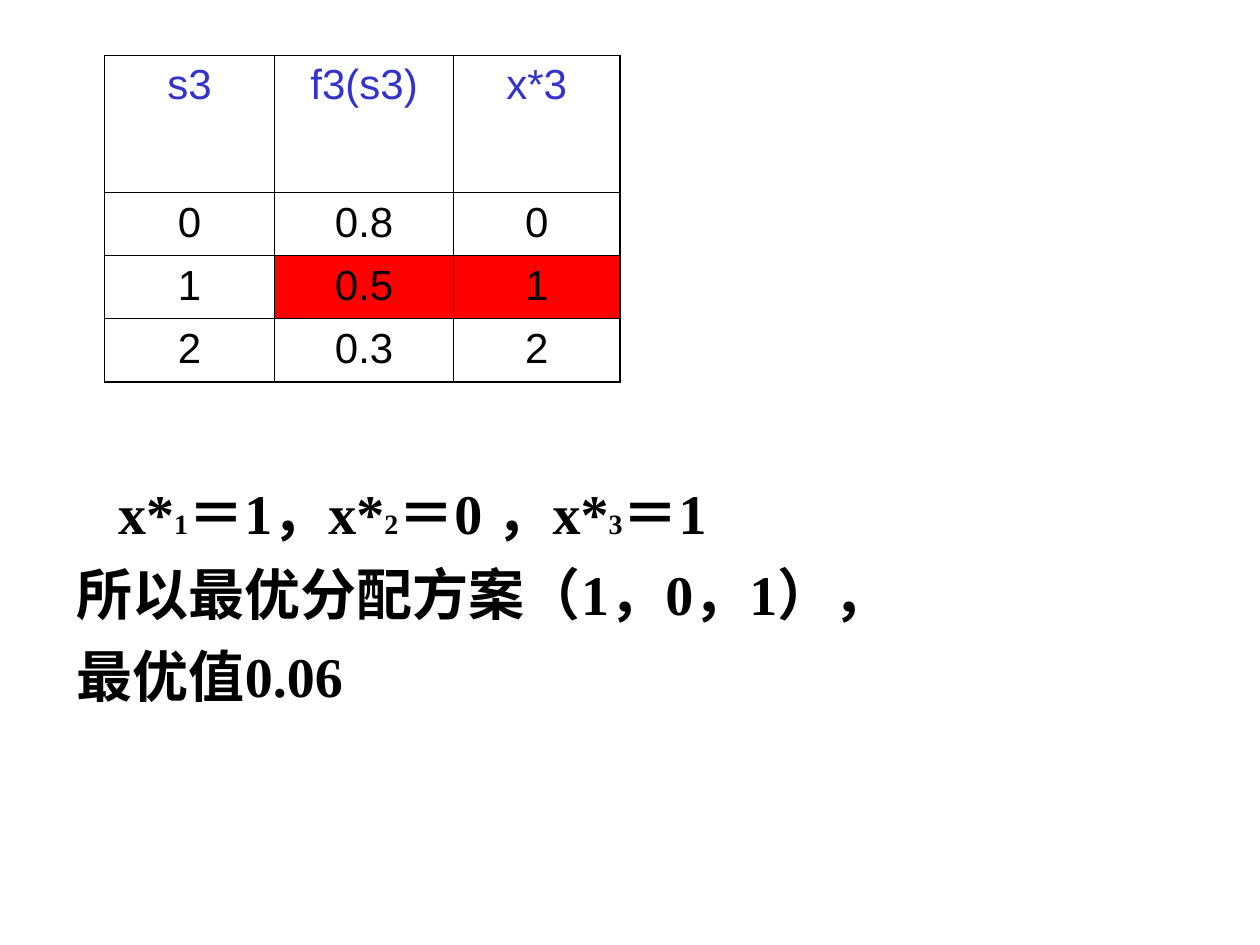
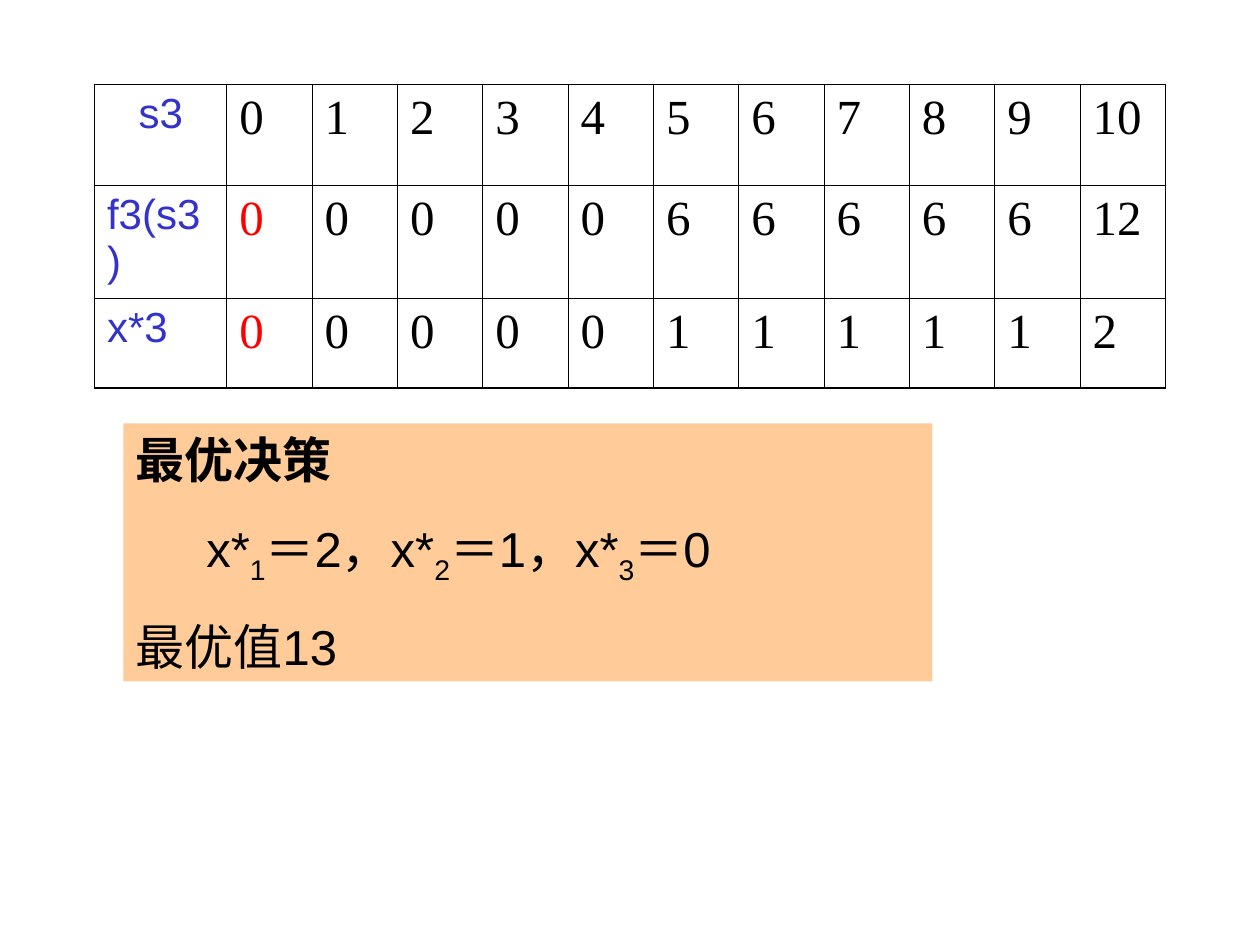
from dataclasses import dataclass, replace
from typing import Callable, NamedTuple, Optional

from lxml.etree import SubElement
from pptx import Presentation
from pptx.dml.color import RGBColor
from pptx.enum.lang import MSO_LANGUAGE_ID
from pptx.enum.shapes import MSO_SHAPE
from pptx.enum.text import MSO_ANCHOR, PP_ALIGN
from pptx.oxml.ns import qn
from pptx.util import Emu, Inches, Pt

BLACK = RGBColor(0x00, 0x00, 0x00)
BLUE = RGBColor(0x33, 0x33, 0xCC)
RED = RGBColor(0xFF, 0x00, 0x00)
PEACH = RGBColor(0xFF, 0xCC, 0x99)

SANS, SERIF = "Arial", "Times New Roman"
SLIDE_W, SLIDE_H = Inches(10), Inches(7.5)
OUTER_LINE, INNER_LINE = Pt(1.08), Pt(0.45)


class Area(NamedTuple):
    """A rectangle in percent of the slide's width and height."""
    x: float
    y: float
    w: float
    h: float

    def emu(self) -> tuple:
        return across(self.x), down(self.y), across(self.w), down(self.h)


@dataclass(frozen=True)
class TextStyle:
    font: str
    size: float
    color: RGBColor = BLACK
    bold: bool = False
    baseline: int = 0


@dataclass(frozen=True)
class CellStyle:
    text: TextStyle
    align: PP_ALIGN = PP_ALIGN.LEFT
    fill: Optional[RGBColor] = None


class Line(NamedTuple):
    """A paragraph: its (text, style) runs and its left indent in percent."""
    runs: list
    indent: float = 0


@dataclass(frozen=True)
class Grid:
    """A table: its corner, column widths and row heights in percent."""
    x: float
    y: float
    cols: list
    rows: list
    values: list
    style: Callable[[int, int], CellStyle]


LABEL = TextStyle(SANS, 24, BLUE)
NUMBER = TextStyle(SERIF, 28)
SOLUTION = TextStyle(SERIF, 32, bold=True)
SOLUTION_SUB = replace(SOLUTION, size=16)
DECISION = TextStyle(SANS, 28)
DECISION_SUB = replace(DECISION, baseline=-25000)
DECISION_HEAD = replace(NUMBER, bold=True)


def across(percent: float) -> Emu:
    return Emu(round(SLIDE_W * percent / 100))


def down(percent: float) -> Emu:
    return Emu(round(SLIDE_H * percent / 100))


def add_run(p, text: str, style: TextStyle) -> None:
    r = p.add_run()
    r.text = text
    font = r.font
    font.name, font.size, font.bold = style.font, Pt(style.size), style.bold
    font.color.rgb = style.color
    font.language_id = MSO_LANGUAGE_ID.SIMPLIFIED_CHINESE
    if style.baseline:
        r._r.get_or_add_rPr().set("baseline", str(style.baseline))


def fill_text(tf, lines: list, space_before: float) -> None:
    tf.word_wrap = True
    tf.vertical_anchor = MSO_ANCHOR.TOP
    for i, line in enumerate(lines):
        p = tf.add_paragraph() if i else tf.paragraphs[0]
        p.alignment = PP_ALIGN.LEFT
        p.space_before = Pt(space_before if i else 0)
        if line.indent:
            p._p.get_or_add_pPr().set("marL", str(across(line.indent)))
        for text, style in line.runs:
            add_run(p, text, style)


def formula(parts: list, base: TextStyle, sub: TextStyle) -> list:
    """Runs that alternate between the base line and subscripts."""
    return [(text, sub if i % 2 else base) for i, text in enumerate(parts)]


def set_borders(cell, widths: dict) -> None:
    tcPr = cell._tc.get_or_add_tcPr()
    for i, (side, width) in enumerate(widths.items()):
        ln = SubElement(tcPr, qn(f"a:ln{side}"), w=str(width))
        fill = SubElement(ln, qn("a:solidFill"))
        SubElement(fill, qn("a:srgbClr"), val=str(BLACK))
        tcPr.insert(i, ln)


def add_grid(s, grid: Grid) -> None:
    n_rows, n_cols = len(grid.rows), len(grid.cols)
    area = Area(grid.x, grid.y, sum(grid.cols), sum(grid.rows))
    table = s.shapes.add_table(n_rows, n_cols, *area.emu()).table
    table.first_row = table.horz_banding = False
    for column, width in zip(table.columns, grid.cols):
        column.width = across(width)
    for row, height in zip(table.rows, grid.rows):
        row.height = down(height)

    for i, values in enumerate(grid.values):
        for j, value in enumerate(values):
            cell, style = table.cell(i, j), grid.style(i, j)
            if style.fill is None:
                cell.fill.background()
            else:
                cell.fill.solid()
                cell.fill.fore_color.rgb = style.fill
            p = cell.text_frame.paragraphs[0]
            p.alignment = style.align
            add_run(p, value, style.text)
            on_edge = {"L": j == 0, "R": j == n_cols - 1,
                       "T": i == 0, "B": i == n_rows - 1}
            set_borders(cell, {side: OUTER_LINE if edge else INNER_LINE
                               for side, edge in on_edge.items()})


def allocation_style(row: int, col: int) -> CellStyle:
    text = LABEL if row == 0 else replace(LABEL, color=BLACK)
    chosen = row == 2 and col > 0
    return CellStyle(text, PP_ALIGN.CENTER, RED if chosen else None)


def stage_style(row: int, col: int) -> CellStyle:
    if col == 0:
        return CellStyle(LABEL, PP_ALIGN.LEFT if row else PP_ALIGN.CENTER)
    chosen = row > 0 and col == 1
    return CellStyle(replace(NUMBER, color=RED) if chosen else NUMBER)


def build_allocation(s) -> None:
    add_grid(s, Grid(
        8.3, 5.87, [13.5, 14.2, 13.2], [14.53] + [6.67] * 3,
        [["s3", "f3(s3)", "x*3"],
         ["0", "0.8", "0"],
         ["1", "0.5", "1"],
         ["2", "0.3", "2"]],
        allocation_style))
    parts = ["x*", "1", "＝1，x*", "2", "＝0 ，x*", "3", "＝1"]
    sp = s.shapes.add_textbox(*Area(5.1, 50, 85, 50).emu())
    fill_text(sp.text_frame, [
        Line(formula(parts, SOLUTION, SOLUTION_SUB), indent=3.3),
        Line([("所以最优分配方案（1，0，1），", SOLUTION)]),
        Line([("最优值0.06", SOLUTION)]),
    ], space_before=8)


def build_decision(s) -> None:
    states = range(11)
    label_w, table_w = 10.5, 85
    add_grid(s, Grid(
        7.5, 8.93,
        [label_w] + [(table_w - label_w) / len(states)] * len(states),
        [10.67, 8.4, 9.47],
        [["s3"] + [str(n) for n in states],
         ["f3(s3)"] + [str(n // 5 * 6) for n in states],
         ["x*3"] + [str(n // 5) for n in states]],
        stage_style))
    sp = s.shapes.add_shape(MSO_SHAPE.RECTANGLE,
                            *Area(9.8, 44.8, 64.2, 27.33).emu())
    sp.shadow.inherit = False
    sp.fill.solid()
    sp.fill.fore_color.rgb = PEACH
    sp.line.fill.background()
    parts = ["x*", "1", "＝2，x*", "2", "＝1，x*", "3", "＝0"]
    fill_text(sp.text_frame, [
        Line([("最优决策", DECISION_HEAD)]),
        Line(formula(parts, DECISION, DECISION_SUB), indent=5.6),
        Line([("最优值13", DECISION)]),
    ], space_before=17.5)


def main() -> None:
    prs = Presentation()
    prs.slide_width, prs.slide_height = SLIDE_W, SLIDE_H
    blank = prs.slide_layouts.get_by_name("Blank")
    for build in (build_allocation, build_decision):
        build(prs.slides.add_slide(blank))
    prs.save("out.pptx")


if __name__ == "__main__":
    main()
